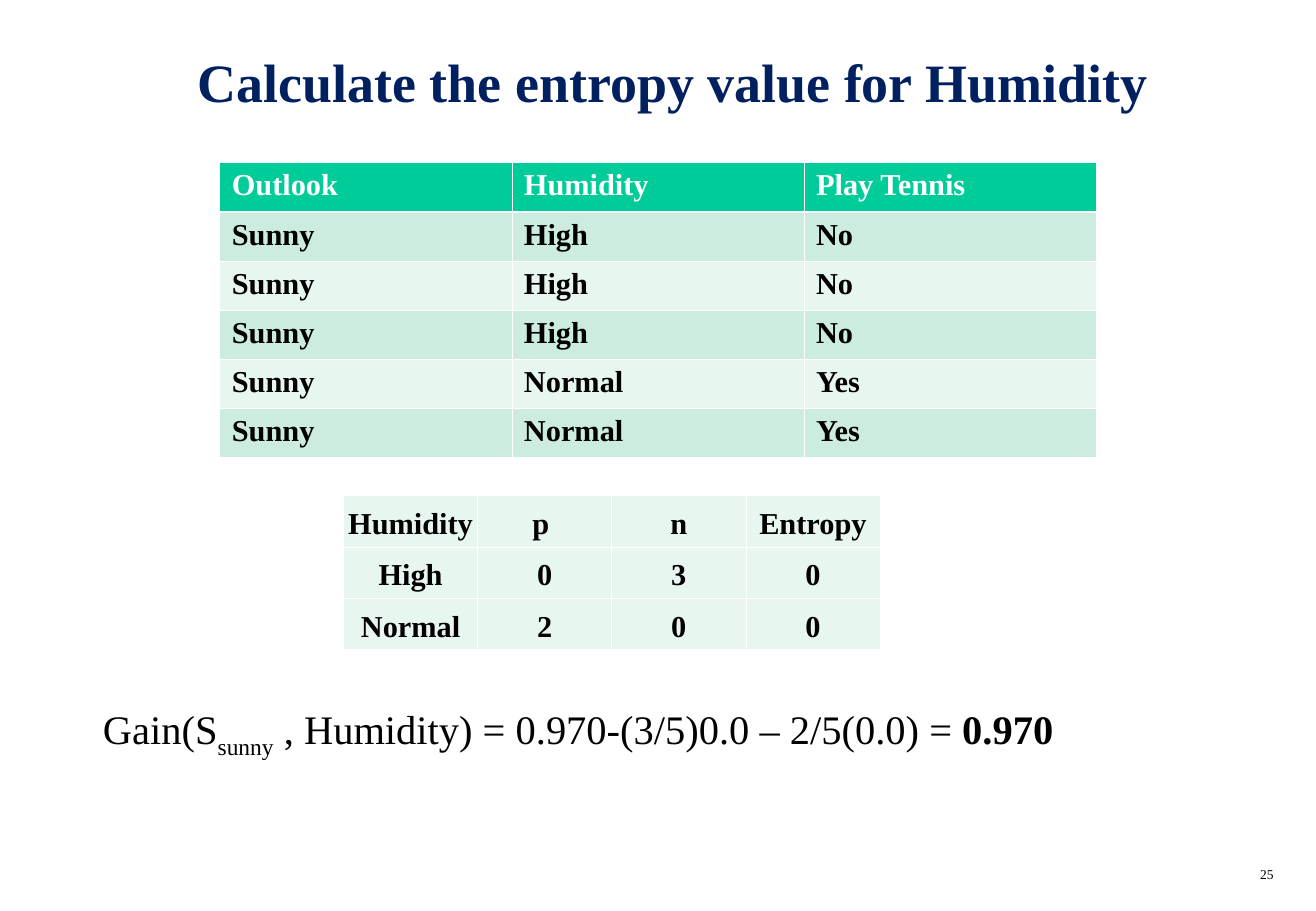
from lxml.etree import SubElement
from pptx import Presentation
from pptx.dml.color import RGBColor
from pptx.enum.text import MSO_ANCHOR, PP_ALIGN
from pptx.oxml.ns import qn
from pptx.util import Inches, Pt

FONT = "Times New Roman"
NAVY = RGBColor(0x00, 0x20, 0x60)
BLACK = RGBColor(0x00, 0x00, 0x00)
WHITE = RGBColor(0xFF, 0xFF, 0xFF)
GREEN = RGBColor(0x00, 0xCC, 0x99)
MINT = RGBColor(0xCB, 0xEC, 0xDE)
PALE_MINT = RGBColor(0xE7, 0xF6, 0xEF)
THIN, THICK = 0.45, 1.47

OBSERVATIONS = [
    ("Outlook", "Humidity", "Play Tennis"),
    ("Sunny", "High", "No"),
    ("Sunny", "High", "No"),
    ("Sunny", "High", "No"),
    ("Sunny", "Normal", "Yes"),
    ("Sunny", "Normal", "Yes"),
]
ENTROPIES = [
    ("Humidity", "p ", "n", "Entropy"),
    ("High", "0", "3", "0"),
    ("Normal", "2", "0", "0"),
]


def add_span(para, text, size, color=BLACK, bold=False):
    """Add one formatted run and return it."""
    span = para.add_run()
    span.text = text
    span.font.name = FONT
    span.font.size = Pt(size)
    span.font.bold = bold
    span.font.color.rgb = color
    return span


def add_text_box(page, box, align):
    """Add a wrapping text box and return its first paragraph."""
    frame = page.shapes.add_textbox(*map(Inches, box)).text_frame
    frame.word_wrap = True
    para = frame.paragraphs[0]
    para.alignment = align
    return para


def add_borders(cell, top, bottom):
    """Draw white cell borders with the given top and bottom widths."""
    properties = cell._tc.get_or_add_tcPr()
    for side, width in (("L", THIN), ("R", THIN), ("T", top), ("B", bottom)):
        line = SubElement(properties, qn(f"a:ln{side}"), w=str(Pt(width)))
        fill = SubElement(line, qn("a:solidFill"))
        SubElement(fill, qn("a:srgbClr"), val=str(WHITE))


def add_grid(page, box, rows, header_fill, body_fills, header_color, header_rule,
             align, anchor, side_margin):
    """Add a table of equal rows and columns that fills the box."""
    left, top, width, height = box
    table = page.shapes.add_table(
        len(rows), len(rows[0]), *map(Inches, box)).table
    table.horz_banding = False
    for column in table.columns:
        column.width = Inches(width / len(rows[0]))
    for row, texts in enumerate(rows):
        table.rows[row].height = Inches(height / len(rows))
        for column, text in enumerate(texts):
            cell = table.cell(row, column)
            cell.margin_left = cell.margin_right = Inches(side_margin)
            cell.vertical_anchor = anchor
            add_borders(cell, header_rule if row == 1 else THIN,
                        header_rule if row == 0 else THIN)
            cell.fill.solid()
            cell.fill.fore_color.rgb = (
                body_fills[(row - 1) % len(body_fills)] if row else header_fill)
            para = cell.text_frame.paragraphs[0]
            para.alignment = align
            add_span(para, text, 18, BLACK if row else header_color, True)


def add_title(page, box):
    """Place the title placeholder in the box."""
    title = page.shapes.title
    title.left, title.top, title.width, title.height = map(Inches, box)
    title.text_frame.vertical_anchor = MSO_ANCHOR.MIDDLE
    para = title.text_frame.paragraphs[0]
    para.alignment = PP_ALIGN.CENTER
    add_span(para, "Calculate the entropy value for Humidity", 32, NAVY, True)


def add_gain(page, box):
    """Write the information gain formula in the box."""
    para = add_text_box(page, box, PP_ALIGN.LEFT)
    add_span(para, "Gain(S", 24)
    subscript = add_span(para, "sunny", 24)
    subscript.font._element.set("baseline", "-25000")
    add_span(para, " , Humidity) = 0.970-(3/5)0.0 – 2/5(0.0) =", 24)
    add_span(para, " 0.970", 24, bold=True)


def add_page_number(page, box):
    """Write the page number at the right of the box."""
    add_span(add_text_box(page, box, PP_ALIGN.RIGHT), "25", 8)


def main():
    """Build the humidity entropy slide."""
    deck = Presentation()
    deck.slide_width, deck.slide_height = Inches(10.84), Inches(7.5)
    page = deck.slides.add_slide(deck.slide_layouts[5])
    add_title(page, (0.42, 0.17, 10.25, 1))
    add_page_number(page, (8.33, 7.08, 2.26, 0.25))
    add_grid(page, (1.81, 1.34, 7.22, 2.43), OBSERVATIONS, GREEN,
             (MINT, PALE_MINT), WHITE, THICK, PP_ALIGN.LEFT, MSO_ANCHOR.TOP, 0.1)
    add_grid(page, (2.83, 4.08, 4.42, 1.27), ENTROPIES, PALE_MINT,
             (PALE_MINT,), BLACK, THIN, PP_ALIGN.CENTER, MSO_ANCHOR.BOTTOM, 0.01)
    add_gain(page, (0.75, 5.75, 9.75, 0.56))
    deck.save("out.pptx")


if __name__ == "__main__":
    main()
